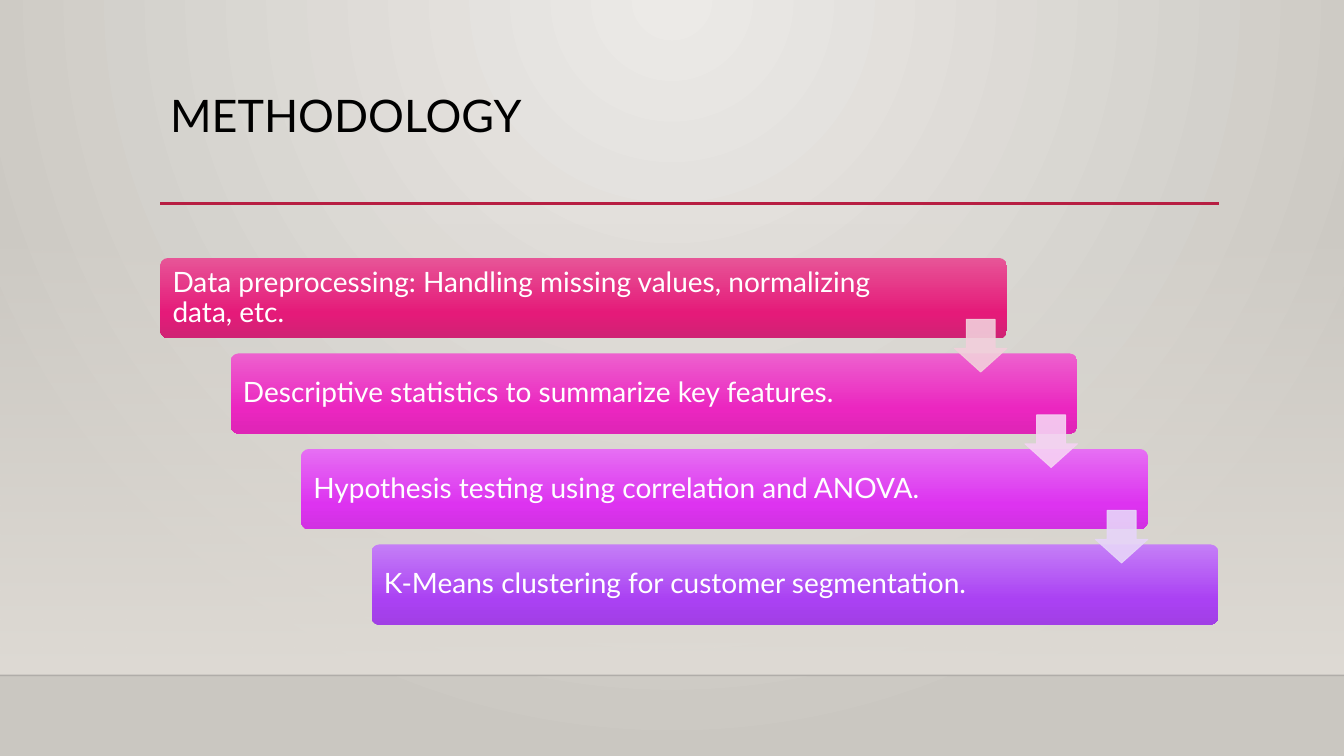
from pptx import Presentation
from pptx.dml.color import RGBColor
from pptx.enum.shapes import MSO_CONNECTOR, MSO_SHAPE
from pptx.enum.text import MSO_ANCHOR
from pptx.oxml.ns import qn
from pptx.util import Pt
from lxml.etree import SubElement

FONT = "Lato"
BLACK = RGBColor(0x00, 0x00, 0x00)
WHITE = RGBColor(0xFF, 0xFF, 0xFF)
CRIMSON = RGBColor(0xB7, 0x1E, 0x42)
FLOOR_EDGE = RGBColor(0x00, 0x00, 0x01)
BACK_LIGHT = RGBColor(0xEC, 0xEA, 0xE7)
BACK_DARK = RGBColor(0xCA, 0xC7, 0xC1)
WALL = RGBColor(0xDF, 0xDB, 0xD5)
PINK = [RGBColor(0xE7, 0x55, 0x97), RGBColor(0xE5, 0x1A, 0x79), RGBColor(0xCF, 0x23, 0x74)]
MAGENTA = [RGBColor(0xED, 0x61, 0xCE), RGBColor(0xEB, 0x26, 0xC0), RGBColor(0xDE, 0x25, 0xB6)]
ORCHID = [RGBColor(0xE6, 0x6F, 0xF3), RGBColor(0xDD, 0x33, 0xF0), RGBColor(0xD1, 0x31, 0xE2)]
VIOLET = [RGBColor(0xC5, 0x7F, 0xF7), RGBColor(0xAA, 0x41, 0xF3), RGBColor(0xA1, 0x3F, 0xE5)]
ARROW_COLORS = [RGBColor(0xF2, 0xCF, 0xDB), RGBColor(0xF6, 0xD2, 0xF3), RGBColor(0xE7, 0xD5, 0xF9)]

SLIDE_W, SLIDE_H = 960, 540
LEFT, RIGHT = 114.5, 871
FLOOR_Y = 482.4
CARD_W, CARD_H = 604.8, 57.4
CARD_TOP, STEP_X, STEP_Y = 184.2, 50.3, 68.2
ARROW = 37.5


def set_gradient(fill, parent, stops):
    """Fill with (percent, colour, opacity) stops running downwards; return the XML."""
    fill.gradient()
    grad = next(parent.iter(qn("a:gradFill")))
    for child in list(grad):
        grad.remove(child)
    stop_list = SubElement(grad, qn("a:gsLst"))
    for percent, color, opacity in stops:
        stop = SubElement(stop_list, qn("a:gs"), pos=str(percent * 1000))
        clr = SubElement(stop, qn("a:srgbClr"), val=str(color))
        SubElement(clr, qn("a:alpha"), val=str(opacity * 1000))
    SubElement(grad, qn("a:lin"), ang="5400000", scaled="0")
    return grad


def set_opacity(element, percent):
    for clr in element.iter(qn("a:srgbClr")):
        SubElement(clr, qn("a:alpha"), val=str(percent * 1000))


prs = Presentation()
prs.slide_width, prs.slide_height = Pt(SLIDE_W), Pt(SLIDE_H)
slide = prs.slides.add_slide(prs.slide_layouts[6])
shapes = slide.shapes

# Background: glow from the top centre
grad = set_gradient(slide.background.fill, slide.element,
                    [(0, BACK_LIGHT, 100), (100, BACK_DARK, 100)])
grad.remove(grad.find(qn("a:lin")))
glow = SubElement(grad, qn("a:path"))
glow.set("path", "circle")
SubElement(glow, qn("a:fillToRect"), l="43000", t="0", r="43000", b="100000")

# Wall fading in towards the floor
s = shapes.add_shape(MSO_SHAPE.RECTANGLE, 0, Pt(159.1), Pt(SLIDE_W), Pt(FLOOR_Y - 159.1))
s.shadow.inherit = False
s.line.fill.background()
set_gradient(s.fill, s.element, [(0, WALL, 0), (100, WALL, 100)])

# Floor edge and title rule
for x1, x2, y, color, width, opacity in [
    (0, SLIDE_W, FLOOR_Y, FLOOR_EDGE, 1, 20),
    (LEFT, RIGHT, 145.4, CRIMSON, 2.5, 100),
]:
    rule = shapes.add_connector(MSO_CONNECTOR.STRAIGHT, Pt(x1), Pt(y), Pt(x2), Pt(y))
    rule.line.color.rgb = color
    rule.line.width = Pt(width)
    set_opacity(rule.element, opacity)
    SubElement(rule.element.spPr, qn("a:effectLst"))

# Title
title = shapes.add_textbox(Pt(LEFT), Pt(63.4), Pt(756), Pt(82.8))
tf = title.text_frame
tf.word_wrap = True
tf.text = "METHODOLOGY"
p = tf.paragraphs[0]
p.line_spacing = 0.9
p.space_after = Pt(6)
p.font.name, p.font.size = FONT, Pt(32)
p.font.color.rgb = BLACK

# Staircase of steps
steps = [
    ("Data preprocessing: Handling missing values, normalizing data, etc.", PINK),
    ("Descriptive statistics to summarize key features.", MAGENTA),
    ("Hypothesis testing using correlation and ANOVA.", ORCHID),
    ("K-Means clustering for customer segmentation.", VIOLET),
]
for i, (text, colors) in enumerate(steps):
    card = shapes.add_shape(MSO_SHAPE.ROUNDED_RECTANGLE, Pt(LEFT + i * STEP_X),
                            Pt(CARD_TOP + i * STEP_Y), Pt(CARD_W), Pt(CARD_H))
    card.adjustments[0] = 0.1
    card.shadow.inherit = False
    card.line.fill.background()
    set_gradient(card.fill, card.element,
                 [(pos, color, 100) for pos, color in zip((0, 69, 100), colors)])
    tf = card.text_frame
    tf.word_wrap = True
    tf.vertical_anchor = MSO_ANCHOR.MIDDLE
    tf.margin_left, tf.margin_right = Pt(7.2), Pt(72)
    tf.margin_top = tf.margin_bottom = Pt(6)
    tf.text = text
    p = tf.paragraphs[0]
    p.alignment = 1  # left
    p.line_spacing = 0.9
    p.font.name, p.font.size = FONT, Pt(20)
    p.font.color.rgb = WHITE

# Arrows from each step to the next
for i, color in enumerate(ARROW_COLORS):
    s = shapes.add_shape(MSO_SHAPE.DOWN_ARROW,
                         Pt(LEFT + CARD_W - ARROW + i * STEP_X),
                         Pt(CARD_TOP + 44 + i * STEP_Y), Pt(ARROW), Pt(ARROW))
    s.adjustments[0], s.adjustments[1] = 0.55, 0.45
    s.shadow.inherit = False
    s.fill.solid()
    s.fill.fore_color.rgb = color
    s.line.color.rgb = color
    s.line.width = Pt(0.75)
    set_opacity(s.element, 90)

prs.save("out.pptx")
